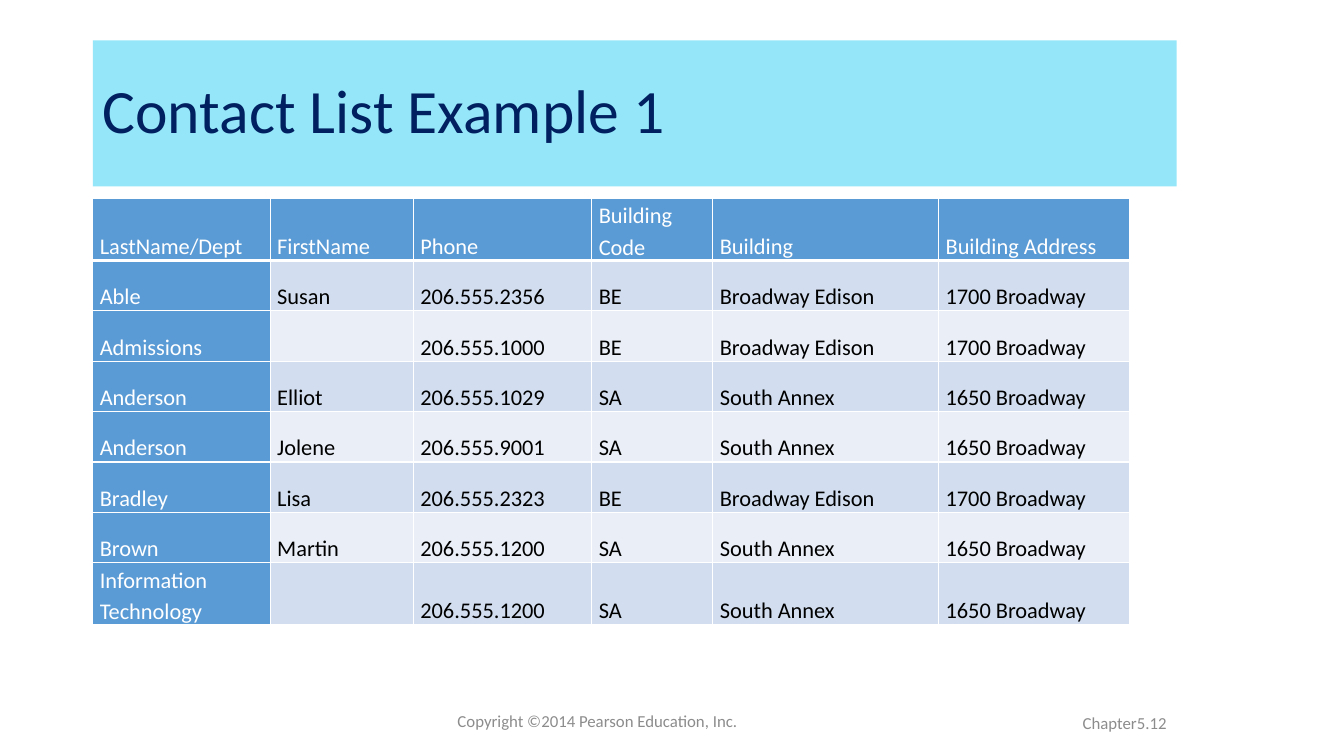
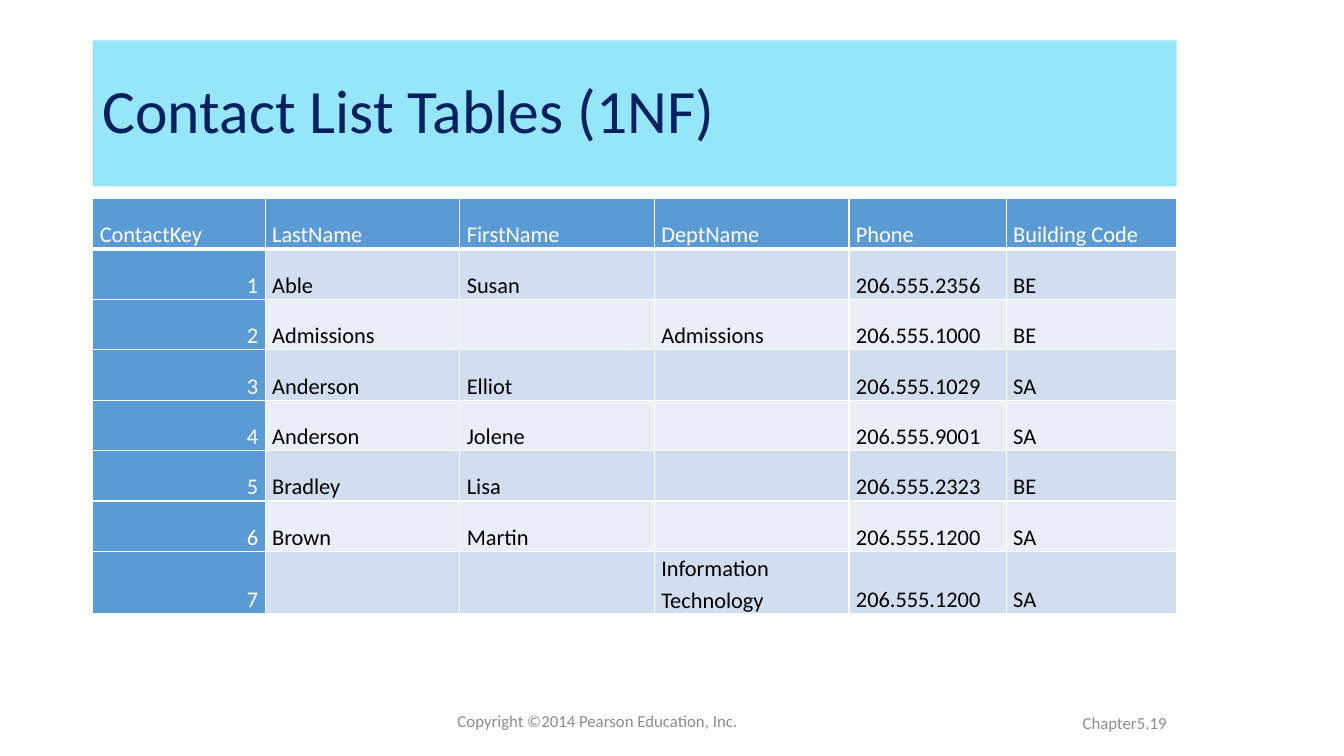
from dataclasses import dataclass
from typing import NamedTuple

from lxml.etree import SubElement
from pptx import Presentation
from pptx.dml.color import RGBColor as Color
from pptx.enum.shapes import MSO_SHAPE as Shape
from pptx.enum.text import MSO_ANCHOR as Anchor, PP_ALIGN as Align
from pptx.oxml.ns import qn
from pptx.util import Inches, Pt


@dataclass(frozen=True)
class Theme:
    font: str = "Calibri"
    title_band: str = "95E6F9"
    title_text: str = "002060"
    footer_text: str = "8C8C8C"
    accent: str = "5B9BD5"
    light: str = "FFFFFF"
    dark: str = "000000"
    stripes: tuple = ("D2DEEF", "EAEFF7")
    title_size: int = 44
    table_size: int = 16
    footer_size: int = 12
    border: int = 1
    header_border: int = 3
    plain_table_style: str = "{2D5ABB26-0587-4C30-8999-92F81FD0307C}"


class Box(NamedTuple):
    left: float
    top: float
    width: float
    height: float

    def lengths(self):
        return [Inches(value) for value in self]


class Contact(NamedTuple):
    last: str
    first: str
    department: str
    phone: str
    code: str


THEME = Theme()
TITLE_BOX = Box(0.92, 0.4, 10.75, 1.45)
COPYRIGHT_BOX = Box(3.47, 6.95, 4.95, 0.4)
NUMBER_BOX = Box(9.16, 6.97, 2.51, 0.4)
TABLE_LEFT, TABLE_TOP, ROW_HEIGHT = 0.92, 1.97, 0.5

BUILDINGS = {
    "BE": ("Broadway Edison", "1700 Broadway"),
    "SA": ("South Annex", "1650 Broadway"),
}
CONTACTS = [
    Contact("Able", "Susan", "", "206.555.2356", "BE"),
    Contact("Admissions", "", "Admissions", "206.555.1000", "BE"),
    Contact("Anderson", "Elliot", "", "206.555.1029", "SA"),
    Contact("Anderson", "Jolene", "", "206.555.9001", "SA"),
    Contact("Bradley", "Lisa", "", "206.555.2323", "BE"),
    Contact("Brown", "Martin", "", "206.555.1200", "SA"),
    Contact("", "", "Information Technology", "206.555.1200", "SA"),
]


def write(frame, text, size, color, align=Align.LEFT, line_spacing=None):
    paragraph = frame.paragraphs[0]
    paragraph.text = text
    paragraph.alignment = align
    paragraph.line_spacing = line_spacing
    paragraph.font.name = THEME.font
    paragraph.font.size = Pt(size)
    paragraph.font.color.rgb = Color.from_string(color)


def add_title(slide, box, text):
    band = slide.shapes.add_shape(Shape.RECTANGLE, *box.lengths())
    band.shadow.inherit = False
    band.fill.solid()
    band.fill.fore_color.rgb = Color.from_string(THEME.title_band)
    band.line.fill.background()
    band.text_frame.word_wrap = True
    band.text_frame.vertical_anchor = Anchor.MIDDLE
    write(band.text_frame, text, THEME.title_size, THEME.title_text, line_spacing=0.9)


def add_footer(slide, box, text, align):
    frame = slide.shapes.add_textbox(*box.lengths()).text_frame
    frame.word_wrap = True
    frame.vertical_anchor = Anchor.MIDDLE
    write(frame, text, THEME.footer_size, THEME.footer_text, align)


def add_borders(cell, bottom_width):
    properties = cell._tc.get_or_add_tcPr()
    widths = {"lnL": THEME.border, "lnR": THEME.border, "lnT": THEME.border, "lnB": bottom_width}
    for side, width in widths.items():
        line = SubElement(properties, qn(f"a:{side}"), w=str(Pt(width)))
        fill = SubElement(line, qn("a:solidFill"))
        SubElement(fill, qn("a:srgbClr"), val=THEME.light)


def format_cell(cell, text, row, column):
    is_header = row == 0
    is_accent = is_header or column == 0
    cell.vertical_anchor = Anchor.BOTTOM
    cell.margin_left = cell.margin_right = Inches(0.07)
    cell.margin_top = cell.margin_bottom = 0
    add_borders(cell, THEME.header_border if is_header else THEME.border)
    cell.fill.solid()
    background = THEME.accent if is_accent else THEME.stripes[(row - 1) % 2]
    cell.fill.fore_color.rgb = Color.from_string(background)
    write(
        cell.text_frame,
        text,
        THEME.table_size,
        THEME.light if is_accent else THEME.dark,
        Align.RIGHT if text.isdigit() else Align.LEFT,
        1.15,
    )


def add_contact_table(slide, left, top, widths, rows):
    box = Box(left, top, sum(widths), ROW_HEIGHT * len(rows))
    table = slide.shapes.add_table(len(rows), len(widths), *box.lengths()).table
    table._tbl.tblPr.find(qn("a:tableStyleId")).text = THEME.plain_table_style
    table.first_col = True
    for column, width in zip(table.columns, widths):
        column.width = Inches(width)
    for row, texts in enumerate(rows):
        table.rows[row].height = Inches(ROW_HEIGHT)
        for column, text in enumerate(texts):
            format_cell(table.cell(row, column), text, row, column)


def add_table_slide(presentation, title, number, widths, rows):
    slide = presentation.slides.add_slide(presentation.slide_layouts[6])
    add_footer(slide, COPYRIGHT_BOX, "Copyright ©2014 Pearson Education, Inc. ", Align.CENTER)
    add_title(slide, TITLE_BOX, title)
    add_contact_table(slide, TABLE_LEFT, TABLE_TOP, widths, rows)
    add_footer(slide, NUMBER_BOX, f"Chapter5.{number}", Align.RIGHT)


def main():
    presentation = Presentation()
    presentation.slide_width = Inches(13.33)
    presentation.slide_height = Inches(7.5)

    flat_header = ("LastName/Dept", "FirstName", "Phone", "Building Code", "Building", "Building Address")
    flat_rows = [
        (contact.last or contact.department, contact.first, contact.phone, contact.code, *BUILDINGS[contact.code])
        for contact in CONTACTS
    ]
    add_table_slide(
        presentation,
        "Contact List Example 1",
        12,
        (1.76, 1.42, 1.77, 1.2, 2.24, 1.89),
        [flat_header, *flat_rows],
    )

    keyed_header = ("ContactKey", "LastName", "FirstName", "DeptName", "Phone", "Building Code")
    keyed_rows = [(str(key), *contact) for key, contact in enumerate(CONTACTS, 1)]
    add_table_slide(
        presentation,
        "Contact List Tables (1NF)",
        19,
        (1.71, 1.93, 1.93, 1.93, 1.56, 1.69),
        [keyed_header, *keyed_rows],
    )

    presentation.save("out.pptx")


if __name__ == "__main__":
    main()
